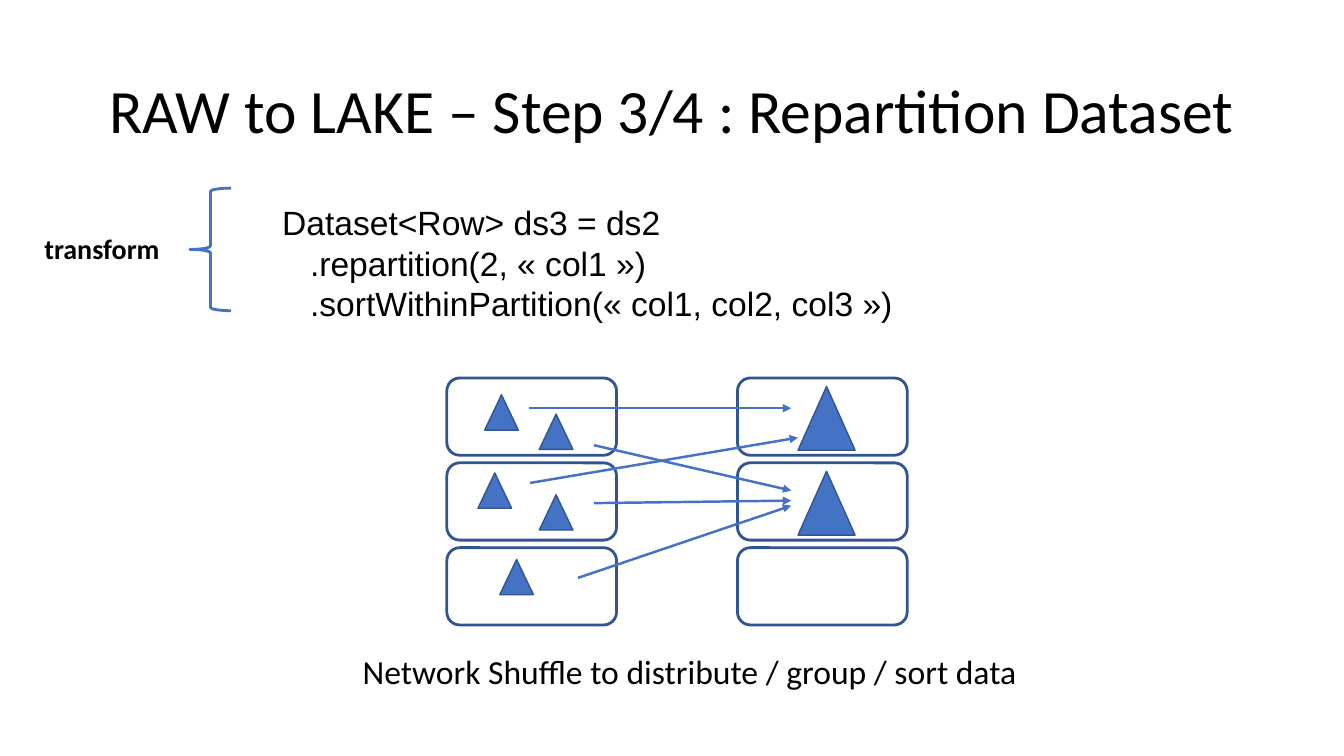
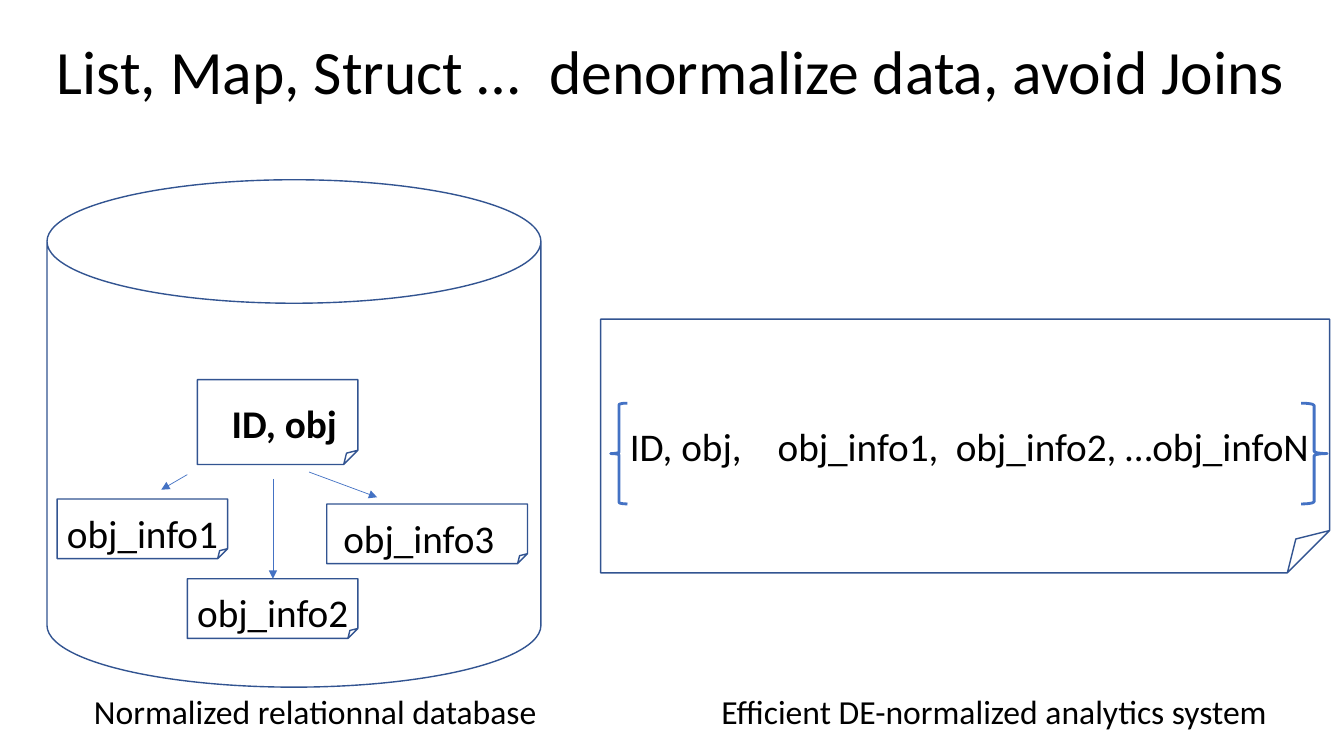
from lxml.etree import SubElement
from pptx import Presentation
from pptx.dml.color import RGBColor
from pptx.enum.shapes import MSO_CONNECTOR, MSO_SHAPE as SHAPE
from pptx.enum.text import MSO_ANCHOR, PP_ALIGN as ALIGN
from pptx.oxml.ns import qn
from pptx.util import Inches, Pt

BLACK = RGBColor(0x00, 0x00, 0x00)
BLUE = RGBColor(0x44, 0x72, 0xC4)
NAVY = RGBColor(0x32, 0x54, 0x91)
BODY_FONT, CODE_FONT = "Calibri", "Arial"
COLUMNS, ROWS = 160, 90


class Deck:
    def __init__(self):
        self.prs = Presentation()
        self.prs.slide_width, self.prs.slide_height = Inches(13.333), Inches(7.5)
        self.slide = None

    def x(self, columns):
        return round(self.prs.slide_width * columns / COLUMNS)

    def y(self, rows):
        return round(self.prs.slide_height * rows / ROWS)

    def frame(self, left, top, width, height):
        return self.x(left), self.y(top), self.x(width), self.y(height)

    def new_slide(self):
        self.slide = self.prs.slides.add_slide(self.prs.slide_layouts[6])

    def text(self, box, text, size=24, font=BODY_FONT, bold=False,
             align=ALIGN.LEFT, tabs=()):
        tf = self.slide.shapes.add_textbox(*self.frame(*box)).text_frame
        tf.word_wrap = True
        tf.text = text
        for p in tf.paragraphs:
            p.alignment = align
            if tabs:
                tab_list = SubElement(p._p.get_or_add_pPr(), qn("a:tabLst"))
                for tab in tabs:
                    SubElement(tab_list, qn("a:tab"), pos=str(self.x(tab)), algn="l")
            p.font.name, p.font.size, p.font.bold = font, Pt(size), bold
            p.font.color.rgb = BLACK
        return tf

    def title(self, box, text, **style):
        tf = self.text(box, text, size=44, **style)
        tf.vertical_anchor = MSO_ANCHOR.MIDDLE
        tf.paragraphs[0].line_spacing = 0.9

    def shape(self, kind, box, line=NAVY, weight=1, fill=None):
        sp = self.slide.shapes.add_shape(kind, *self.frame(*box))
        sp.shadow.inherit = False
        if fill is None:
            sp.fill.background()
        else:
            sp.fill.solid()
            sp.fill.fore_color.rgb = fill
        sp.line.color.rgb, sp.line.width = line, Pt(weight)

    def brace(self, box, kind=SHAPE.LEFT_BRACE):
        self.shape(kind, box, line=BLUE, weight=2)

    def triangle(self, left, top, width, height):
        self.shape(SHAPE.ISOSCELES_TRIANGLE, (left, top, width, height), fill=BLUE)

    def card(self, box, text, dx=0, dy=0.6, bold=False):
        left, top, width, height = box
        self.text((left + dx, top + dy, width + 2, 6.8), text, 28, bold=bold)
        self.shape(SHAPE.FOLDED_CORNER, box)

    def arrow(self, x1, y1, x2, y2, weight):
        cx = self.slide.shapes.add_connector(
            MSO_CONNECTOR.STRAIGHT, self.x(x1), self.y(y1), self.x(x2), self.y(y2))
        cx.line.color.rgb, cx.line.width = BLUE, Pt(weight)
        SubElement(cx.line._get_or_add_ln(), qn("a:tailEnd"), type="triangle")
        SubElement(cx._element.spPr, qn("a:effectLst"))


def repartition_slide(deck):
    deck.new_slide()
    deck.title((11, 4.8, 138, 17.4), "RAW to LAKE – Step 3/4 : Repartition Dataset",
               align=ALIGN.CENTER)
    deck.text((32.4, 23.5, 109, 20.6),
              "Dataset<Row> ds3 = ds2\n"
              "   .repartition(2, « col1 »)\n"
              "   .sortWithinPartition(« col1, col2, col3 »)", font=CODE_FONT)
    deck.text((4.1, 27, 18, 5.3), "transform", 20, bold=True)
    deck.brace((22.6, 22.4, 4.9, 14.6))

    for left in (53.2, 87.8):
        for row in range(3):
            deck.shape(SHAPE.ROUNDED_RECTANGLE, (left, 45 + 10.1 * row, 20.2, 9.2),
                       weight=2)
    for left, top in ((57.7, 47), (64.2, 49.3), (56.9, 56.3), (64.2, 58.9), (59.5, 66.6)):
        deck.triangle(left, top, 4, 4.2)
    for top in (46, 56.1):
        deck.triangle(95, top, 6.8, 7.6)
    for ends in ((63, 48.6, 94.2, 48.6), (70.7, 53, 94.2, 58.4), (63.1, 57.5, 95, 52.1),
                 (70.7, 59.9, 94.2, 59.6), (68.8, 68.8, 94.2, 60.2)):
        deck.arrow(*ends, weight=1.75)
    deck.text((42, 76.9, 82, 6), "Network Shuffle to distribute / group / sort data")


def denormalize_slide(deck):
    deck.new_slide()
    deck.title((5.6, 0.2, 150.7, 17.4),
               "List, Map, Struct …\tdenormalize data, avoid Joins", tabs=(58.6,))
    deck.shape(SHAPE.CAN, (5.6, 21.4, 58.8, 60.4))
    deck.card((23.5, 45.2, 19.1, 10.1), "ID, obj", dx=2.9, dy=1.7, bold=True)
    deck.card((6.8, 59.4, 20.3, 7.1), "obj_info1")
    deck.card((22.3, 68.9, 20.3, 7.1), "obj_info2")
    deck.card((38.9, 60, 23.9, 7.1), "obj_info3", dx=0.8)
    for ends in ((22.3, 56.5, 19.2, 58.3), (32.5, 57, 32.5, 68.9), (36.8, 56.2, 44.9, 59.2)):
        deck.arrow(*ends, weight=0.5)

    deck.shape(SHAPE.FOLDED_CORNER, (71.5, 38, 86.8, 30.2))
    deck.brace((72.7, 48, 2, 12))
    deck.text((73.8, 49.7, 85, 6.8), "ID, obj,\tobj_info1,\tobj_info2, …obj_infoN", 28,
              tabs=(17.6, 38.8))
    deck.brace((154.9, 48, 3.1, 12), SHAPE.RIGHT_BRACE)
    deck.text((10, 81.7, 57, 6), "Normalized relationnal database")
    deck.text((84.7, 81.7, 69, 6), "Efficient DE-normalized analytics system")


def main():
    deck = Deck()
    repartition_slide(deck)
    denormalize_slide(deck)
    deck.prs.save("out.pptx")


if __name__ == "__main__":
    main()
